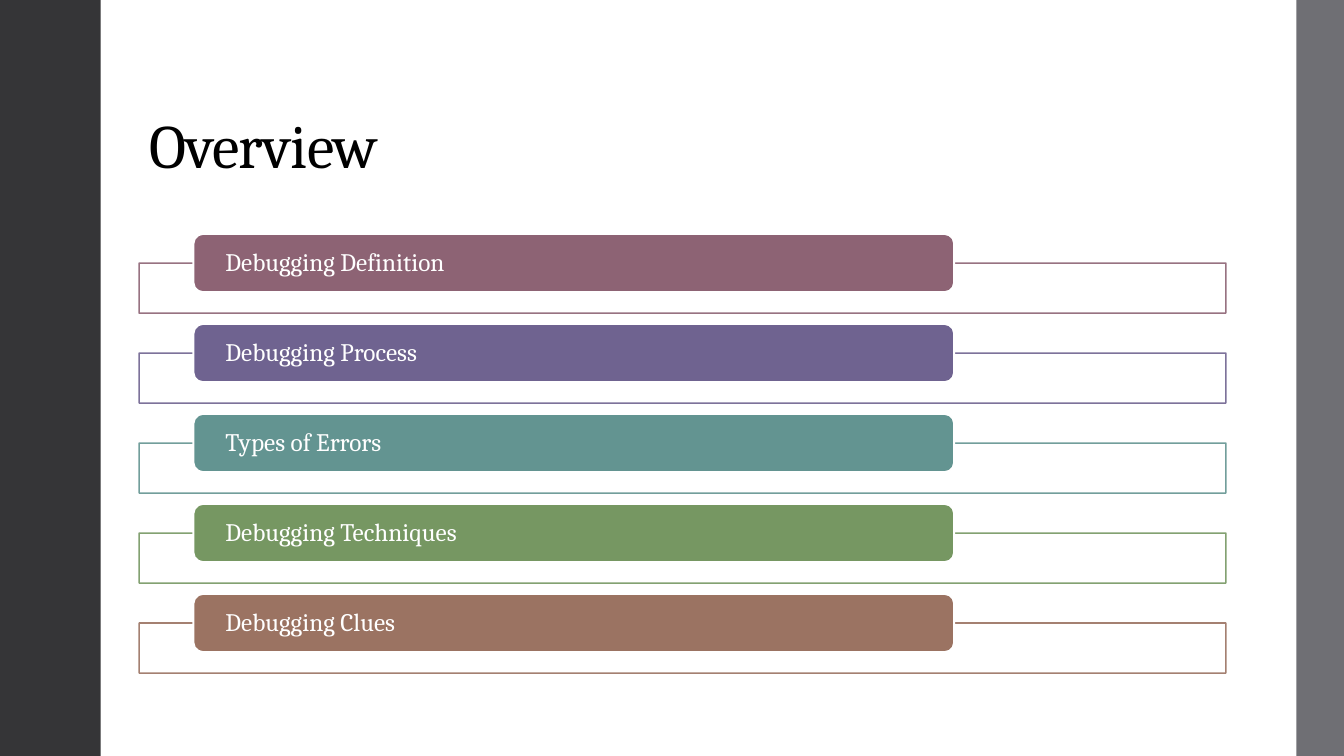
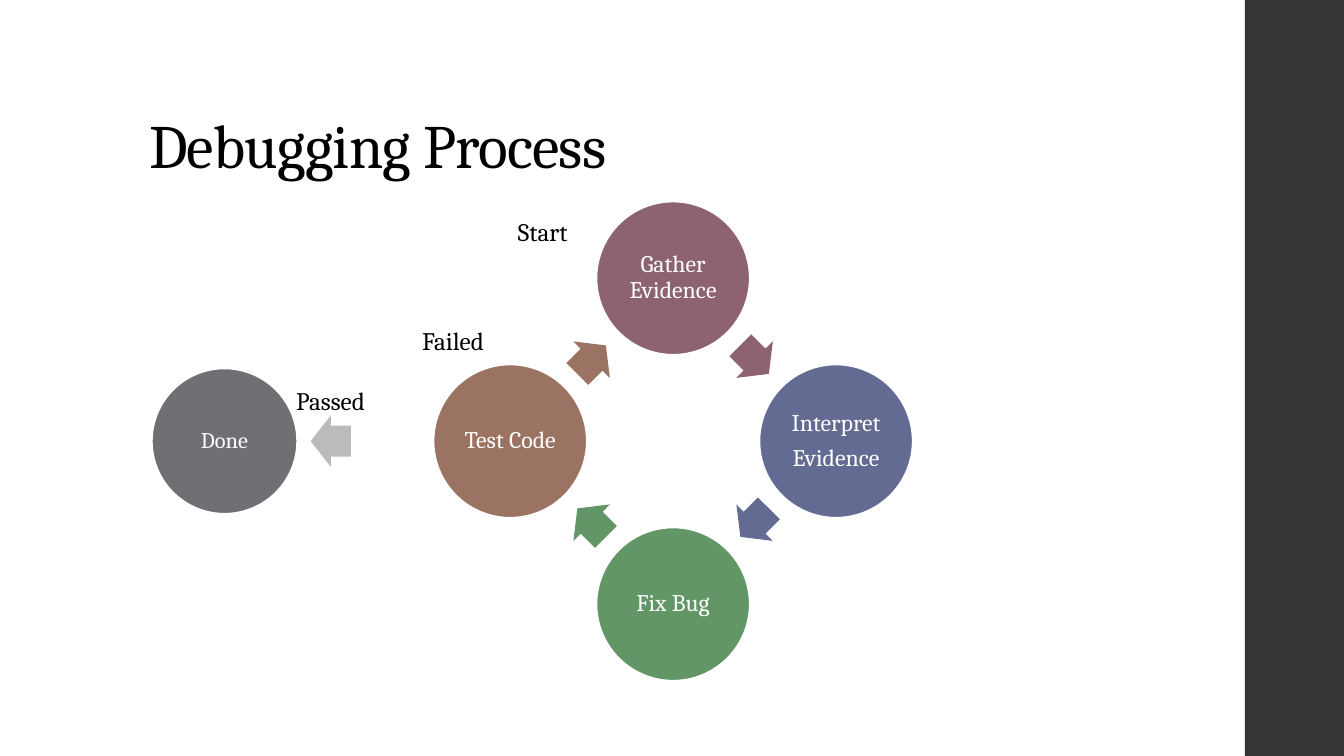
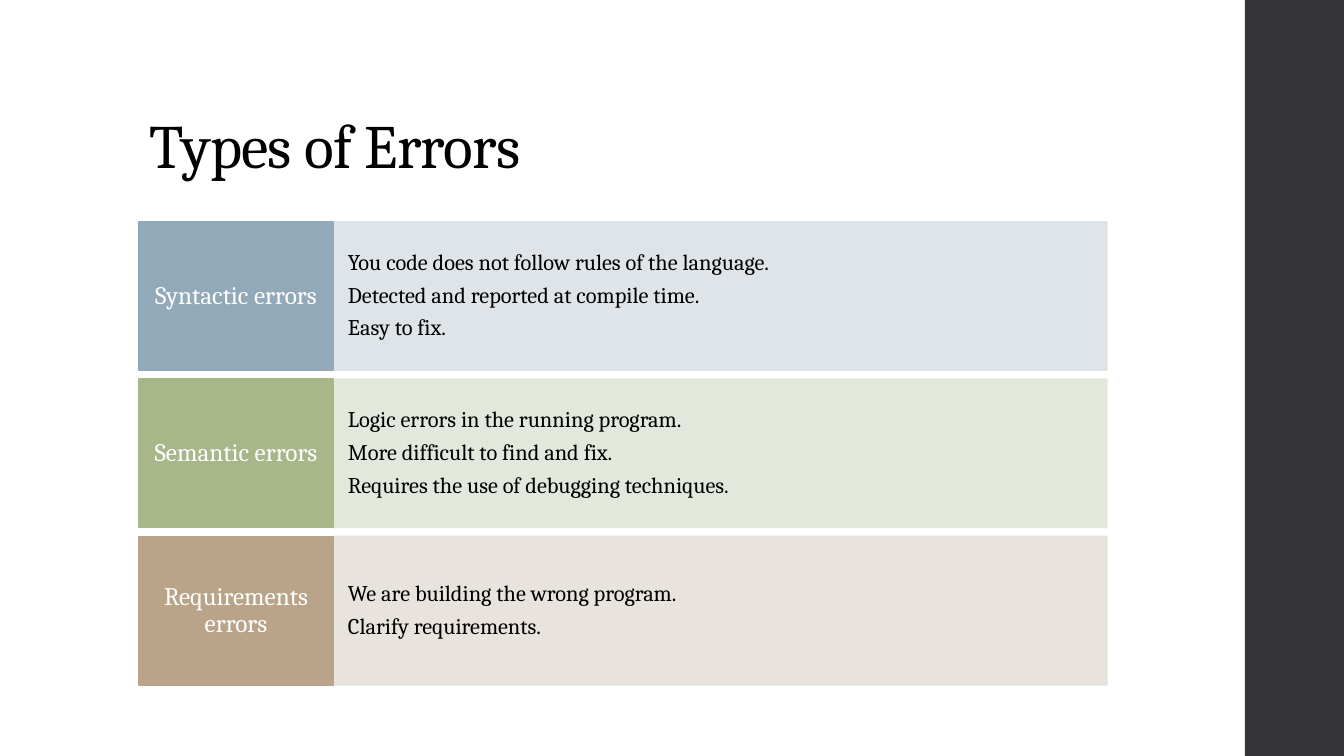
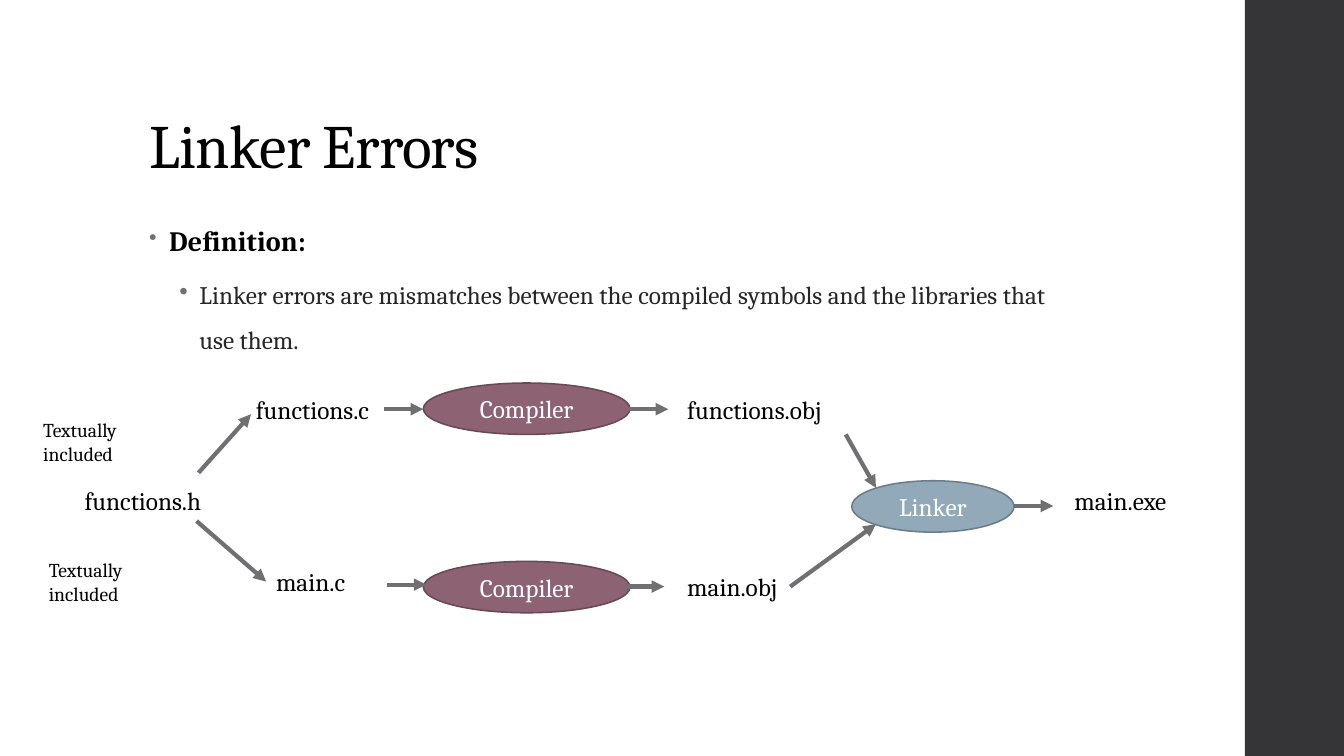
"""Build four slides about debugging."""
from dataclasses import dataclass
from math import cos, radians, sin
from typing import Optional

from lxml.etree import SubElement
from pptx import Presentation
from pptx.dml.color import RGBColor
from pptx.enum.shapes import MSO_CONNECTOR, MSO_SHAPE
from pptx.enum.text import MSO_ANCHOR, MSO_AUTO_SIZE, PP_ALIGN
from pptx.oxml.ns import qn
from pptx.shapes.autoshape import Shape
from pptx.slide import Slide
from pptx.text.text import TextFrame
from pptx.util import Pt

WIDTH, HEIGHT = 960, 540
FONT = "Cambria"
COLORS = {
    "white": "FFFFFF", "black": "000000", "body": "262626",
    "dark": "353537", "gray": "6F6F74", "silver": "BBBBBC",
    "plum": "8D6374", "plum_edge": "684956", "violet": "6F6390",
    "teal": "639491", "olive": "769762", "brown": "9B7362",
    "indigo": "636B92", "green": "629666",
    "steel": "92A9B9", "steel_edge": "6C7D89", "steel_pale": "DCE2E6",
    "sage": "A7B789", "sage_pale": "E1E6DA",
    "sand": "B9A489", "sand_pale": "E6E0DA",
}


@dataclass(frozen=True)
class Box:
    """A rectangle in points."""
    left: float
    top: float
    width: float
    height: float

    @classmethod
    def centered(cls, x: float, y: float, width: float, height: float) -> "Box":
        """Make a box around a centre point."""
        return cls(x - width / 2, y - height / 2, width, height)

    def emu(self) -> tuple:
        """Return the four lengths for python-pptx."""
        return Pt(self.left), Pt(self.top), Pt(self.width), Pt(self.height)


@dataclass(frozen=True)
class TextStyle:
    """How a text frame is set."""
    size: float
    color: str = "white"
    align: PP_ALIGN = PP_ALIGN.LEFT
    anchor: MSO_ANCHOR = MSO_ANCHOR.MIDDLE
    inset_x: float = 7.2
    inset_y: float = 3.6
    leading: float = 1.0
    gap: float = 0
    tracking: int = 0


@dataclass(frozen=True)
class Step:
    """A stage of the debugging cycle."""
    text: str
    color: str


@dataclass(frozen=True)
class ErrorKind:
    """A kind of error with its remarks."""
    name: str
    color: str
    pale: str
    remarks: tuple


@dataclass(frozen=True)
class Tool:
    """A program of the build chain."""
    name: str
    box: Box
    fill: str
    edge: str


@dataclass(frozen=True)
class Label:
    """A short text at a place."""
    text: str
    left: float
    top: float
    width: float


@dataclass(frozen=True)
class Bullet:
    """A bulleted paragraph."""
    text: str
    size: float
    color: str
    bold: bool
    indent: float
    before: float
    after: float
    mark_percent: int
    tracking: int


TITLE = TextStyle(44, "black", anchor=MSO_ANCHOR.BOTTOM, leading=0.9, tracking=-50)
TAB = TextStyle(18, inset_x=20.9, inset_y=0, leading=0.9)
STEP = TextStyle(17, align=PP_ALIGN.CENTER, inset_x=1.4, inset_y=1.4, leading=0.9, gap=6.3)
DONE = TextStyle(16, align=PP_ALIGN.CENTER, inset_x=1.4, inset_y=1.4, leading=0.9)
KIND = TextStyle(18, align=PP_ALIGN.CENTER, inset_y=10.8, leading=0.9)
REMARK = TextStyle(16, "black", inset_x=10.8, inset_y=26.6, leading=0.9, gap=6)
TOOL = TextStyle(18, align=PP_ALIGN.CENTER)
LABEL = TextStyle(18, "black", anchor=MSO_ANCHOR.TOP)
NOTE = TextStyle(14, "black", anchor=MSO_ANCHOR.TOP)

TOPICS = (
    Step("Debugging Definition", "plum"),
    Step("Debugging Process", "violet"),
    Step("Types of Errors", "teal"),
    Step("Debugging Techniques", "olive"),
    Step("Debugging Clues", "brown"),
)
CYCLE = (
    Step("Gather Evidence", "plum"),
    Step("Interpret\nEvidence", "indigo"),
    Step("Fix Bug", "green"),
    Step("Test Code", "brown"),
)
OUTCOMES = (
    Label("Passed", 204.5, 271.4, 73.4),
    Label("Failed", 294.5, 229, 67.7),
    Label("Start", 362.9, 151.2, 58.3),
)
ERROR_KINDS = (
    ErrorKind("Syntactic errors", "steel", "steel_pale", (
        "You code does not follow rules of the language.",
        "Detected and reported at compile time.",
        "Easy to fix.")),
    ErrorKind("Semantic errors", "sage", "sage_pale", (
        "Logic errors in the running program.",
        "More difficult to find and fix.",
        "Requires the use of debugging techniques.")),
    ErrorKind("Requirements errors", "sand", "sand_pale", (
        "We are building the wrong program.",
        "Clarify requirements.")),
)
TOOLS = (
    Tool("Compiler", Box(302.4, 273.6, 147.6, 36.7), "plum", "plum_edge"),
    Tool("Compiler", Box(302.4, 401, 147.6, 36.7), "plum", "plum_edge"),
    Tool("Linker", Box(608.4, 343.4, 115.9, 36.7), "steel", "steel_edge"),
)
FILES = (
    Label("functions.h", 53.3, 343.4, 100.1),
    Label("functions.c", 175.7, 277.9, 98.6),
    Label("main.c", 190.1, 401, 64.8),
    Label("functions.obj", 483.8, 277.9, 114.5),
    Label("main.obj", 483.8, 404.6, 80.6),
    Label("main.exe", 760.3, 343.4, 82.1),
)
NOTES = (
    Label("Textually included", 23.8, 295.2, 86),
    Label("Textually included", 27.8, 395.3, 86),
)
FLOWS = (
    ((141.8, 337.7), (179.3, 295.9)),
    ((140.4, 372.2), (190.1, 415.4)),
    ((274.3, 292.3), (302.4, 292.3)),
    ((276.5, 417.6), (304.6, 417.6)),
    ((449.3, 292.3), (477.4, 292.3)),
    ((446.4, 419), (474.5, 419)),
    ((564.5, 419), (625.7, 374.4)),
    ((604.1, 310.3), (625.7, 348.5)),
    ((724.3, 361.4), (752.4, 361.4)),
)
BULLETS = (
    Bullet("Definition:", 20, "black", True, 14.4, 14, 2, 80, 10),
    Bullet("Linker errors are mismatches between the compiled symbols and "
           "the libraries that use them.", 18, "body", False, 36, 3, 3, 100, 0),
)


def rgb(name: str) -> RGBColor:
    """Look up a colour."""
    return RGBColor.from_string(COLORS[name])


def write(frame: TextFrame, text: str, style: TextStyle, wrap: bool = True) -> None:
    """Put styled text into a frame."""
    frame.text = text
    frame.word_wrap = wrap
    frame.vertical_anchor = style.anchor
    frame.margin_left = frame.margin_right = Pt(style.inset_x)
    frame.margin_top = frame.margin_bottom = Pt(style.inset_y)
    for paragraph in frame.paragraphs:
        paragraph.alignment = style.align
        paragraph.line_spacing = style.leading
        paragraph.space_after = Pt(style.gap)
        for run in paragraph.runs:
            run.font.name = FONT
            run.font.size = Pt(style.size)
            run.font.color.rgb = rgb(style.color)
            if style.tracking:
                run.font._element.set("spc", str(style.tracking))


def add_block(slide: Slide, preset: MSO_SHAPE, box: Box, fill: str,
              line: Optional[str] = None, weight: float = 1.1) -> Shape:
    """Add a flat preset shape."""
    block = slide.shapes.add_shape(preset, *box.emu())
    block.shadow.inherit = False
    block.fill.solid()
    block.fill.fore_color.rgb = rgb(fill)
    if line:
        block.line.color.rgb = rgb(line)
        block.line.width = Pt(weight)
    else:
        block.line.fill.background()
    return block


def soften(block: Shape, percent: int) -> None:
    """Make fill and line of a block partly transparent."""
    for color in block._element.spPr.iter(qn("a:srgbClr")):
        SubElement(color, qn("a:alpha"), val=str(percent * 1000))


def add_label(slide: Slide, label: Label, style: TextStyle, wrap: bool = False) -> None:
    """Add a free text label."""
    box = Box(label.left, label.top, label.width, style.size * 1.6)
    frame = slide.shapes.add_textbox(*box.emu()).text_frame
    write(frame, label.text, style, wrap)
    frame.auto_size = MSO_AUTO_SIZE.SHAPE_TO_FIT_TEXT


def add_turn(slide: Slide, x: float, y: float, angle: float, color: str) -> None:
    """Add a block arrow around a centre point."""
    turn = add_block(slide, MSO_SHAPE.RIGHT_ARROW, Box.centered(x, y, 28.8, 36.9), color)
    turn.adjustments[0], turn.adjustments[1] = 0.6, 0.5
    turn.rotation = angle


def add_flow(slide: Slide, start: tuple, end: tuple) -> None:
    """Add a line with an arrowhead at its end."""
    flow = slide.shapes.add_connector(
        MSO_CONNECTOR.STRAIGHT, *(Pt(value) for value in start + end))
    flow.line.color.rgb = rgb("gray")
    flow.line.width = Pt(3)
    SubElement(flow.line._get_or_add_ln(), qn("a:tailEnd"), type="triangle")
    SubElement(flow._element.spPr, qn("a:effectLst"))


def add_bullets(slide: Slide, box: Box, bullets: tuple) -> None:
    """Add a bulleted list."""
    frame = slide.shapes.add_textbox(*box.emu()).text_frame
    frame.text = "\n".join(bullet.text for bullet in bullets)
    frame.word_wrap = True
    for level, (paragraph, bullet) in enumerate(zip(frame.paragraphs, bullets)):
        paragraph.level = level
        paragraph.line_spacing = 1.5
        paragraph.space_before = Pt(bullet.before)
        paragraph.space_after = Pt(bullet.after)
        props = paragraph._p.get_or_add_pPr()
        props.set("marL", str(Pt(bullet.indent)))
        props.set("indent", str(Pt(-14.4)))
        mark_color = SubElement(props, qn("a:buClr"))
        SubElement(mark_color, qn("a:srgbClr"), val=COLORS["gray"])
        SubElement(props, qn("a:buSzPct"), val=str(bullet.mark_percent * 1000))
        SubElement(props, qn("a:buChar"), char="•")
        font = paragraph.runs[0].font
        font.name, font.size, font.bold = FONT, Pt(bullet.size), bullet.bold
        font.color.rgb = rgb(bullet.color)
        font._element.set("spc", str(bullet.tracking))


def add_band(slide: Slide, left: float, width: float, color: str) -> None:
    """Add a full-height band."""
    add_block(slide, MSO_SHAPE.RECTANGLE, Box(left, 0, width, HEIGHT), color)


def start_slide(deck: Presentation, title: str, framed: bool = False) -> Slide:
    """Add a slide with its bands and title."""
    slide = deck.slides.add_slide(deck.slide_layouts[6])
    if framed:
        add_band(slide, 0, 72, "dark")
        add_band(slide, 925.9, WIDTH - 925.9, "gray")
    else:
        add_band(slide, 889.2, WIDTH - 889.2, "dark")
    heading = slide.shapes.add_textbox(*Box(99.4, 28.8, 763.2, 104.4).emu())
    write(heading.text_frame, title, TITLE)
    return slide


def build_overview(deck: Presentation) -> None:
    """Build the list of topics."""
    slide = start_slide(deck, "Overview", framed=True)
    tab_height = 41.6
    for index, topic in enumerate(TOPICS):
        top = 187.9 + 64.28 * index
        tray = add_block(slide, MSO_SHAPE.RECTANGLE,
                         Box(99.4, top, 776.2, 35.8), "white", topic.color)
        soften(tray, 90)
        tab = add_block(slide, MSO_SHAPE.ROUNDED_RECTANGLE,
                        Box(138.2, top - tab_height / 2, 543.4, tab_height),
                        topic.color, "white", 1.35)
        write(tab.text_frame, topic.text, TAB)


def build_process(deck: Presentation) -> None:
    """Build the debugging cycle."""
    slide = start_slide(deck, "Debugging Process")
    center_x, center_y, radius, size = 480.8, 315.1, 116.4, 109.4
    for index, step in enumerate(CYCLE):
        angle = 90 * index - 90
        x = center_x + radius * cos(radians(angle))
        y = center_y + radius * sin(radians(angle))
        disc = add_block(slide, MSO_SHAPE.OVAL, Box.centered(x, y, size, size),
                         step.color, "white")
        write(disc.text_frame, step.text, STEP)
        middle = radians(angle + 45)
        reach = radius * cos(radians(45))
        add_turn(slide, center_x + reach * cos(middle),
                 center_y + reach * sin(middle), angle + 135, step.color)
    done = add_block(slide, MSO_SHAPE.OVAL,
                     Box.centered(160.4, center_y, 103.7, 103.7), "gray", "white")
    write(done.text_frame, "Done", DONE)
    add_turn(slide, 236.3, center_y, 180, "silver")
    for outcome in OUTCOMES:
        add_label(slide, outcome, LABEL)


def build_error_kinds(deck: Presentation) -> None:
    """Build the rows of error kinds."""
    slide = start_slide(deck, "Types of Errors")
    left, name_width, row_height = 99.4, 138.4, 106
    for index, kind in enumerate(ERROR_KINDS):
        top = 158.4 + 112.4 * index
        panel = add_block(slide, MSO_SHAPE.RECTANGLE,
                          Box(left + name_width, top, 552.8, row_height),
                          kind.pale, kind.pale)
        soften(panel, 90)
        write(panel.text_frame, "\n".join(kind.remarks), REMARK)
        name = add_block(slide, MSO_SHAPE.RECTANGLE,
                         Box(left, top, name_width, row_height),
                         kind.color, kind.color)
        write(name.text_frame, kind.name, KIND)


def build_linker_errors(deck: Presentation) -> None:
    """Build the definition and the build chain."""
    slide = start_slide(deck, "Linker Errors")
    for file in FILES:
        add_label(slide, file, LABEL)
    for tool in TOOLS:
        oval = add_block(slide, MSO_SHAPE.OVAL, tool.box, tool.fill, tool.edge)
        write(oval.text_frame, tool.name, TOOL)
    for start, end in FLOWS:
        add_flow(slide, start, end)
    for note in NOTES:
        add_label(slide, note, NOTE, wrap=True)
    add_bullets(slide, Box(99.4, 144, 676.8, 342.7), BULLETS)


def main() -> None:
    """Build and save the deck."""
    deck = Presentation()
    deck.slide_width, deck.slide_height = Pt(WIDTH), Pt(HEIGHT)
    build_overview(deck)
    build_process(deck)
    build_error_kinds(deck)
    build_linker_errors(deck)
    deck.save("out.pptx")


if __name__ == "__main__":
    main()
